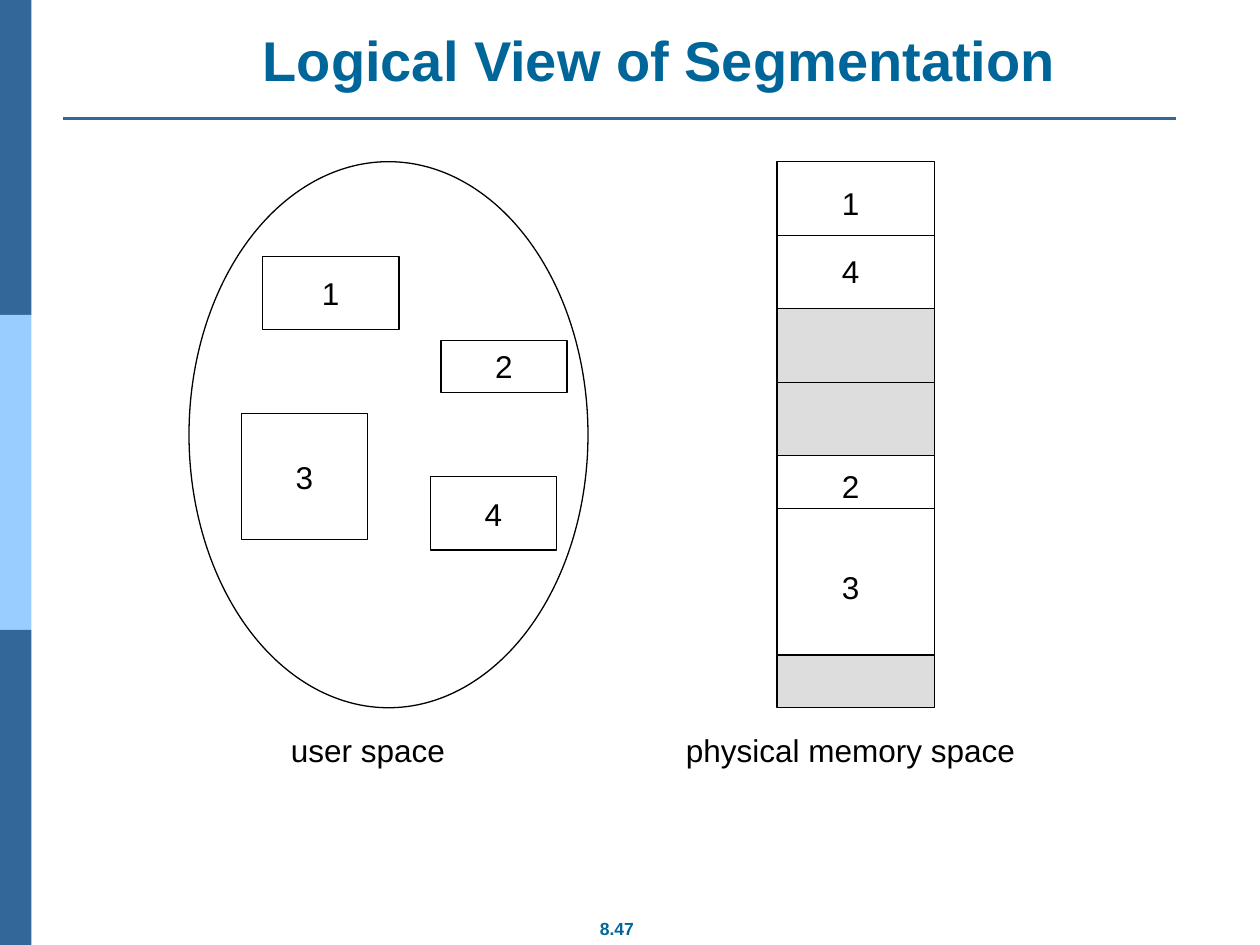
from lxml.etree import SubElement
from pptx import Presentation
from pptx.dml.color import RGBColor
from pptx.enum.shapes import MSO_CONNECTOR, MSO_SHAPE
from pptx.enum.text import MSO_ANCHOR as Anchor, PP_ALIGN as Align
from pptx.oxml.ns import qn
from pptx.util import Inches, Pt

COLUMNS, ROWS = 120, 90
COLORS = {"band": "336699", "light": "99CCFF", "heading": "006699",
          "ink": "000000", "paper": "FFFFFF", "other": "DDDDDD"}


class SlideBuilder:
    """Draws on a 120 x 90 grid; target is the slide's shapes or a group's."""
    font = "Arial"
    body_size = 18
    thin = 0.75

    def __init__(self, deck):
        self.slide = deck.slides.add_slide(deck.slide_layouts[6])
        self.target = self.slide.shapes
        self.column = deck.slide_width / COLUMNS
        self.row = deck.slide_height / ROWS

    def grid(self, x, y, *size):
        """Turn columns and rows into lengths, taken in x, y pairs."""
        units = (self.column, self.row) * 2
        return [round(value * unit) for value, unit in zip((x, y, *size), units)]

    def color(self, name):
        return RGBColor.from_string(COLORS[name])

    def shape(self, box, fill="paper", outline="ink", text="", kind=MSO_SHAPE.RECTANGLE):
        shape = self.target.add_shape(kind, *self.grid(*box))
        shape.shadow.inherit = False
        shape.fill.solid()
        shape.fill.fore_color.rgb = self.color(fill)
        if outline:
            shape.line.color.rgb = self.color(outline)
            shape.line.width = Pt(self.thin)
        else:
            shape.line.fill.background()
        if text:
            self.set_text(shape.text_frame, text)

    def text(self, box, text, **style):
        self.set_text(self.target.add_textbox(*self.grid(*box)).text_frame, text, **style)

    def set_text(self, frame, text, size=body_size, color="ink", bold=False,
                 anchor=Anchor.MIDDLE, wrap=False):
        frame.word_wrap = wrap
        frame.vertical_anchor = anchor
        paragraph = frame.paragraphs[0]
        paragraph.text = text
        paragraph.alignment = Align.CENTER
        font = paragraph.font
        font.name, font.size, font.bold = self.font, Pt(size), bold
        font.color.rgb = self.color(color)

    def rule(self, left, right, y, color="ink", width=thin):
        line = self.target.add_connector(
            MSO_CONNECTOR.STRAIGHT, *self.grid(left, y, right, y))
        line.line.color.rgb = self.color(color)
        line.line.width = Pt(width)
        SubElement(line._element.spPr, qn("a:effectLst"))

    def frame(self):
        for index, fill in enumerate(("band", "light", "band")):
            self.shape((0, index * ROWS / 3, 3, ROWS / 3), fill, outline=None)
        self.rule(6, 112, 11.3, "band", 1.5)
        self.text((55.8, 86.8, 5.9, 3.2), "8.47", size=10, color="heading",
                  bold=True, anchor=Anchor.TOP)
        self.text((11.6, 1.8, 102.4, 7.6), "Logical View of Segmentation", size=32,
                  color="heading", bold=True, anchor=Anchor.BOTTOM, wrap=True)

    def user_space(self, top):
        self.shape((18, top, 38, 52), kind=MSO_SHAPE.OVAL)
        segments = {"1": (25, 24.4, 13, 7), "3": (23, 39.4, 12, 12),
                    "2": (42, 32.4, 12, 5), "4": (41, 45.4, 12, 7)}
        for number, box in segments.items():
            self.shape(box, text=number)

    def physical_memory(self, top, left=74, width=15):
        self.target = self.slide.shapes.add_group_shape().shapes
        # height of each block, its fill, and the height above its divider
        blocks = [(14, "paper", 7), (14, "other", 7), (19, "paper", 5), (5, "other", None)]
        for height, fill, divider in blocks:
            self.shape((left, top, width, height), fill)
            if divider:
                self.rule(left, left + width, top + divider)
            top += height
        for number, y in {"1": 16.9, "4": 23.4, "2": 43.9, "3": 53.5}.items():
            self.text((left + 5, y, 4, 4.8), number)
        self.target = self.slide.shapes


def main():
    deck = Presentation()
    deck.slide_width, deck.slide_height = Inches(10), Inches(7.5)
    builder = SlideBuilder(deck)
    builder.frame()
    diagram_top = 15.4
    builder.user_space(diagram_top)
    builder.physical_memory(diagram_top)
    builder.text((26.4, 69, 18.1, 4.8), "user space ")
    builder.text((64, 69, 34, 4.8), "physical memory space")
    deck.save("out.pptx")


if __name__ == "__main__":
    main()
